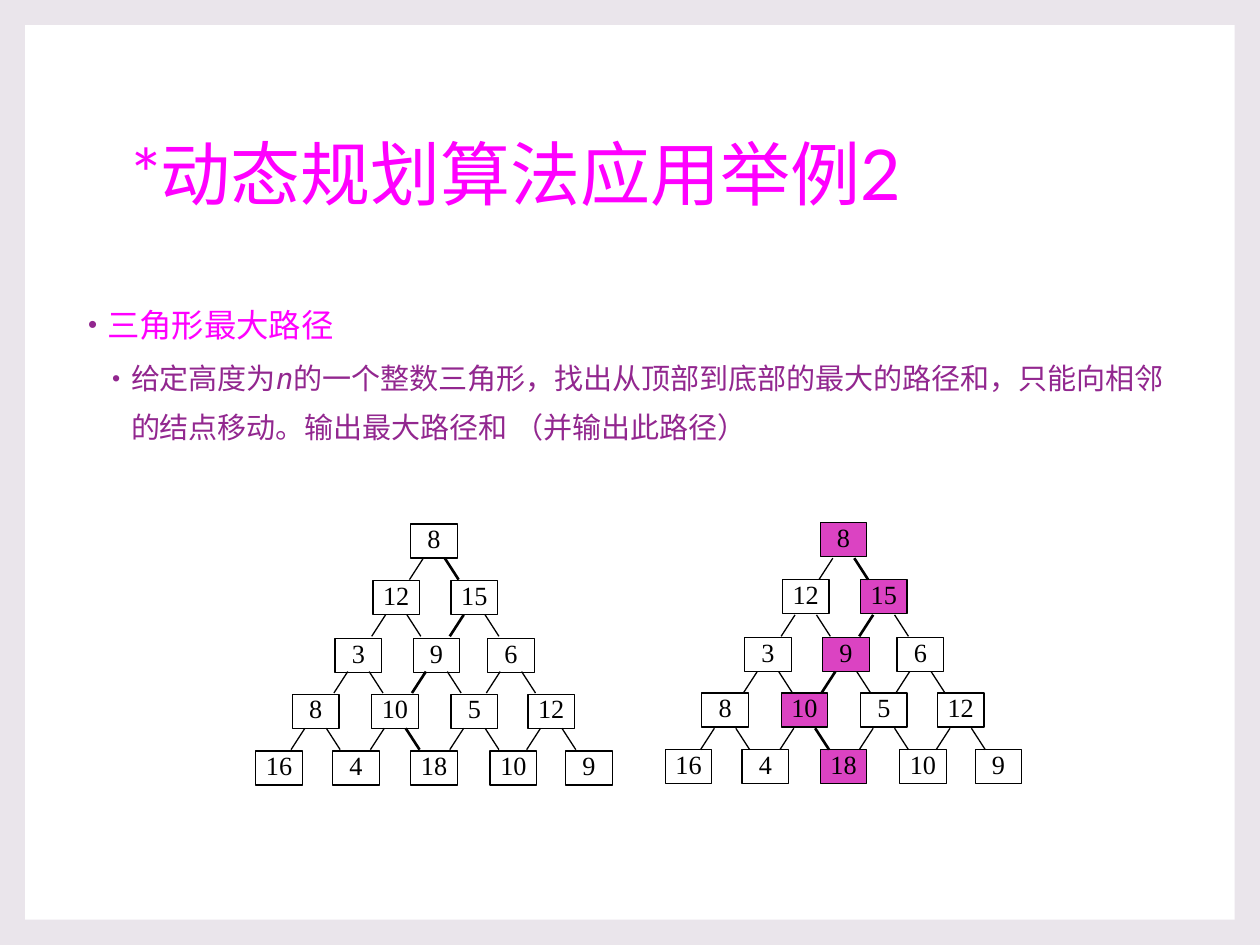
from dataclasses import dataclass

from pptx import Presentation
from pptx.dml.color import RGBColor
from pptx.enum.shapes import MSO_CONNECTOR, MSO_SHAPE
from pptx.enum.text import MSO_ANCHOR, MSO_AUTO_SIZE, PP_ALIGN
from pptx.oxml import parse_xml
from pptx.oxml.ns import nsdecls
from pptx.oxml.xmlchemy import OxmlElement
from pptx.util import Inches, Pt

RECT = MSO_SHAPE.RECTANGLE
STRAIGHT = MSO_CONNECTOR.STRAIGHT
MIDDLE, TOP = MSO_ANCHOR.MIDDLE, MSO_ANCHOR.TOP
LEFT, CENTER = PP_ALIGN.LEFT, PP_ALIGN.CENTER
NO_FIT = MSO_AUTO_SIZE.NONE

VALUES = [[8], [12, 15], [3, 9, 6], [8, 10, 5, 12], [16, 4, 18, 10, 9]]
LEFTS = [
    [3.26],
    [2.96, 3.58],
    [2.66, 3.28, 3.87],
    [2.32, 2.95, 3.58, 4.19],
    [2.03, 2.64, 3.26, 3.89, 4.49],
]
TOPS = [4.16, 4.61, 5.07, 5.51, 5.96]
BEST_PATH = [0, 1, 1, 1, 2]
NODE_W, NODE_H = 0.37, 0.27
EDGE_TOP, EDGE_STEP, EDGE_H = 4.43, 0.45, 0.17
EDGE_SIDES = [(0.10, -0.11), (0.27, 0.11)]


@dataclass(frozen=True)
class Theme:
    """Colours, fonts and sizes of the slide."""

    frame: str = "EAE5EB"
    paper: str = "FFFFFF"
    accent: str = "FF00FF"
    body: str = "92278F"
    ink: str = "000000"
    path_fill: str = "DB43C2"
    heading_font: str = "Lato"
    body_font: str = "DejaVu Sans Mono"
    node_font: str = "Times New Roman"
    title_size: float = 40
    topic_size: float = 18.5
    detail_size: float = 16.6
    node_size: float = 15
    thin: float = 0.75
    thick: float = 1.5


def set_attrs(obj, values):
    """Set each named value on an object."""
    for name, value in values.items():
        setattr(obj, name, value)


class SlideBuilder:
    """Draw styled elements on one slide."""

    def __init__(self, prs, theme):
        self.theme = theme
        self.s = prs.slides.add_slide(prs.slide_layouts[1])
        fill = self.s.background.fill
        fill.solid()
        fill.fore_color.rgb = RGBColor.from_string(theme.frame)

    def place(self, sp, x, y, w, h):
        box = {"left": x, "top": y, "width": w, "height": h}
        set_attrs(sp, {name: Inches(v) for name, v in box.items()})

    def run(self, p, text, font, size, color, italic=False):
        r = p.add_run()
        r.text = text
        set_attrs(r.font, {"name": font, "size": Pt(size), "italic": italic})
        r.font.color.rgb = RGBColor.from_string(color)

    def rect(self, shapes, x, y, w, h, fill=None, line=None):
        sp = shapes.add_shape(RECT, Inches(x), Inches(y), Inches(w), Inches(h))
        sp.shadow.inherit = False
        if fill:
            sp.fill.solid()
            sp.fill.fore_color.rgb = RGBColor.from_string(fill)
        else:
            sp.fill.background()
        if line:
            sp.line.color.rgb = RGBColor.from_string(line)
            sp.line.width = Pt(self.theme.thin)
        else:
            sp.line.fill.background()
        return sp

    def paper(self, x, y, w, h):
        sp = self.rect(self.s.shapes, x, y, w, h, self.theme.paper)
        self.s.shapes._spTree.insert(2, sp._element)

    def title(self, text, *box):
        t = self.theme
        sp = self.s.shapes.title
        self.place(sp, *box)
        tf = sp.text_frame
        set_attrs(tf, {"auto_size": NO_FIT, "vertical_anchor": MIDDLE, "word_wrap": True})
        p = tf.paragraphs[0]
        set_attrs(p, {"alignment": LEFT, "line_spacing": 0.9})
        self.run(p, text, t.heading_font, t.title_size, t.accent)

    def body(self, *box):
        sp = self.s.placeholders[1]
        self.place(sp, *box)
        tf = sp.text_frame
        set_attrs(tf, {"auto_size": NO_FIT, "vertical_anchor": TOP, "word_wrap": True})
        return tf

    def bullet(self, p, level, margin, before, after):
        set_attrs(p, {"level": level, "alignment": LEFT, "line_spacing": 1.4,
                      "space_before": Pt(before), "space_after": Pt(after)})
        pPr = p._p.get_or_add_pPr()
        pPr.set("marL", str(Inches(margin)))
        pPr.set("indent", str(Inches(-0.15)))
        ns = nsdecls("a")
        for xml in (
            f'<a:buClr {ns}><a:srgbClr val="{self.theme.body}"/></a:buClr>',
            f'<a:buSzPct {ns} val="80000"/>',
            f'<a:buFont {ns} typeface="Arial"/>',
            f'<a:buChar {ns} char="•"/>',
        ):
            pPr.append(parse_xml(xml))

    def node(self, shapes, value, x, y, fill):
        t = self.theme
        sp = self.rect(shapes, x, y, NODE_W, NODE_H, fill, t.ink)
        tf = sp.text_frame
        set_attrs(tf, {"margin_left": 0, "margin_top": 0, "margin_right": 0,
                       "margin_bottom": 0, "vertical_anchor": MIDDLE})
        p = tf.paragraphs[0]
        set_attrs(p, {"alignment": CENTER, "line_spacing": 0.8})
        self.run(p, str(value), t.node_font, t.node_size, t.ink)

    def edge(self, shapes, x1, y1, x2, y2, width):
        c = shapes.add_connector(STRAIGHT, Inches(x1), Inches(y1), Inches(x2), Inches(y2))
        c.line.color.rgb = RGBColor.from_string(self.theme.ink)
        c.line.width = Pt(width)
        c._element.spPr.append(OxmlElement("a:effectLst"))

    def triangle(self, dx, dy, fill, path_fill):
        t = self.theme
        shapes = self.s.shapes.add_group_shape().shapes
        for i, (values, lefts) in enumerate(zip(VALUES, LEFTS)):
            for j, (value, x) in enumerate(zip(values, lefts)):
                color = path_fill if j == BEST_PATH[i] else fill
                self.node(shapes, value, x + dx, TOPS[i] + dy, color)
        for i, lefts in enumerate(LEFTS[:-1]):
            y = EDGE_TOP + i * EDGE_STEP
            for j, left in enumerate(lefts):
                for side, (start, run) in enumerate(EDGE_SIDES):
                    on_path = [j, j + side] == BEST_PATH[i:i + 2]
                    x = left + dx + start
                    self.edge(shapes, x, y, x + run, y + EDGE_H,
                              t.thick if on_path else t.thin)


def main():
    prs = Presentation()
    set_attrs(prs, {"slide_width": Inches(10), "slide_height": Inches(7.5)})
    t = Theme()
    b = SlideBuilder(prs, t)
    b.paper(0.2, 0.2, 9.6, 7.1)
    b.title("*动态规划算法应用举例2", 0.94, 0.67, 8.1, 1.48)

    tf = b.body(0.56, 2.25, 8.88, 1.38)
    p = tf.paragraphs[0]
    b.bullet(p, 0, 0.19, 10, 0)
    b.run(p, "三角形最大路径", t.heading_font, t.topic_size, t.accent)
    p = tf.add_paragraph()
    b.bullet(p, 1, 0.38, 1.5, 3)
    for text, italic in (
        ("给定高度为", False),
        ("n", True),
        ("的一个整数三角形，找出从顶部到底部的最大的路径和，只能向相邻的结点移动。"
         "输出最大路径和 （并输出此路径）", False),
    ):
        b.run(p, text, t.body_font, t.detail_size, t.body, italic)

    b.triangle(0, 0, None, None)
    b.triangle(3.25, -0.01, t.paper, t.path_fill)
    prs.save("out.pptx")


if __name__ == "__main__":
    main()
